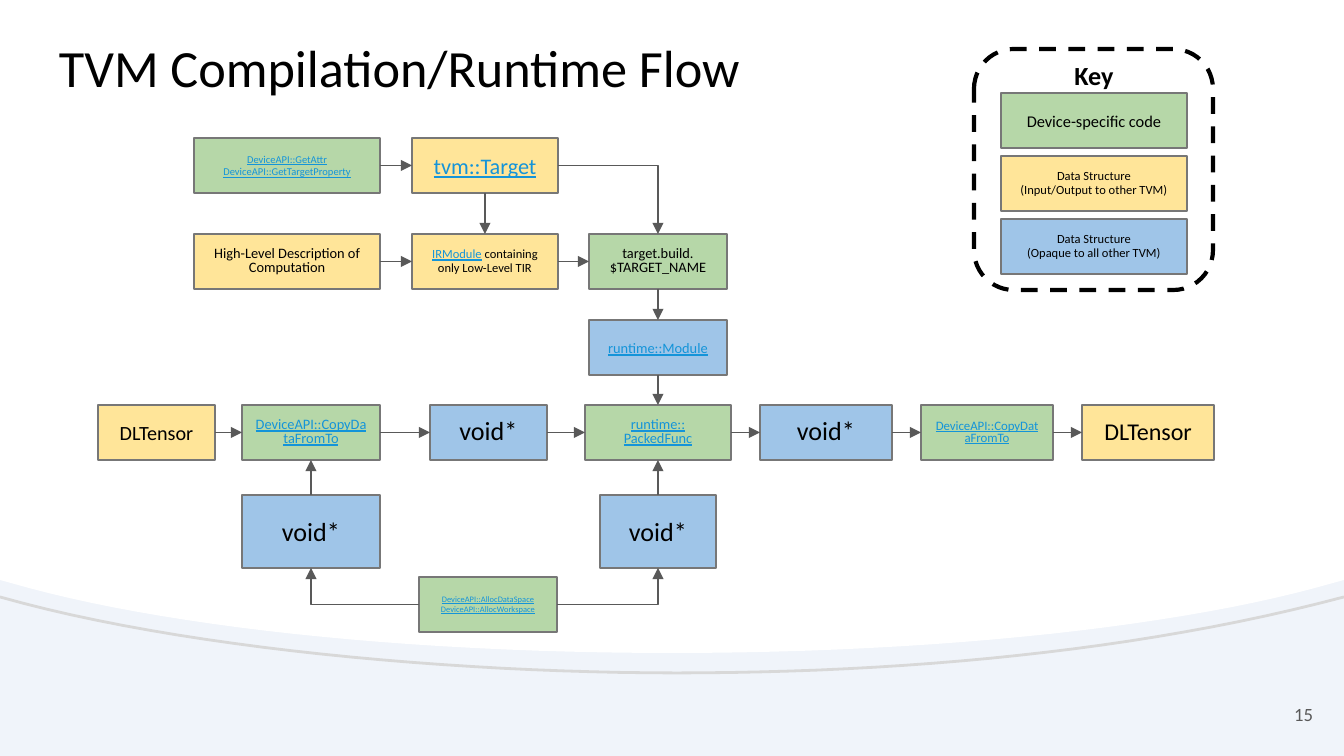
import copy

import lxml.etree
import pptx
import pptx.dml.color
import pptx.enum.dml
import pptx.enum.shapes
import pptx.enum.text
import pptx.oxml.ns
import pptx.util

RGB = pptx.dml.color.RGBColor
SHAPE = pptx.enum.shapes.MSO_SHAPE
LINK = pptx.enum.shapes.MSO_CONNECTOR
ALIGN = pptx.enum.text.PP_ALIGN
ANCHOR = pptx.enum.text.MSO_ANCHOR
qn = pptx.oxml.ns.qn

PALE = RGB(0xF0, 0xF4, 0xFA)
WHITE = RGB(0xFF, 0xFF, 0xFF)
BLACK = RGB(0, 0, 0)
SILVER = RGB(0xD8, 0xD8, 0xD8)
GREY = RGB(0x59, 0x59, 0x59)
EDGE = RGB(0x77, 0x77, 0x77)
CYAN = RGB(0x14, 0x94, 0xD9)
GREEN = RGB(0xB6, 0xD7, 0xA8)
YELLOW = RGB(0xFF, 0xE5, 0x99)
BLUE = RGB(0x9F, 0xC5, 0xE8)

SCALE = 914400 / 134.4  # EMU in one px
WIDE, HIGH = 1344, 756
TOP, LEFT, BOTTOM, RIGHT = 0, 1, 2, 3


def px(*nums):
    return [round(n * SCALE) for n in nums]


def style(font, size, color=BLACK, **more):
    font.color.rgb = color
    looks = {"name": "Calibri", "size": pptx.util.Pt(size), **more}
    for key, value in looks.items():
        setattr(font, key, value)


def write(shape, paras, size, align=ALIGN.CENTER, anchor=ANCHOR.MIDDLE,
          space=None, **look):
    """Fill a shape with paragraphs; a newline inside one is a line break."""
    frame = shape.text_frame
    inset = px(13)[0]
    looks = {"word_wrap": True, "vertical_anchor": anchor,
             "auto_size": pptx.enum.text.MSO_AUTO_SIZE.NONE,
             "margin_left": inset, "margin_right": inset,
             "margin_top": inset, "margin_bottom": inset}
    for key, value in looks.items():
        setattr(frame, key, value)
    for i, text in enumerate(paras):
        para = frame.add_paragraph() if i else frame.paragraphs[0]
        para.text = text
        para.alignment = align
        if space:
            para.line_spacing = space
        for run in para.runs:
            style(run.font, size, **look)
        # A line break takes the size of the text around it
        for gap in para._p.findall(qn("a:br")):
            gap.insert(0, copy.deepcopy(para.runs[0]._r.rPr))


def block(slide, box, fill, line=EDGE, weight=0.75, kind=SHAPE.RECTANGLE):
    shape = slide.shapes.add_shape(kind, *px(*box))
    paint(shape, fill, line, weight)
    return shape


def paint(shape, fill, line, weight=0.75):
    shape.shadow.inherit = False
    if fill is None:
        shape.fill.background()
    else:
        shape.fill.solid()
        shape.fill.fore_color.rgb = fill
    if line is None:
        shape.line.fill.background()
    else:
        shape.line.color.rgb = line
        shape.line.width = pptx.util.Pt(weight)


def arrow(slide, start, out, end, into):
    """Join two boxes; a turn of direction makes one right-angled bend."""
    bent = out % 2 != into % 2
    line = slide.shapes.add_connector(
        LINK.ELBOW if bent else LINK.STRAIGHT, 0, 0, 0, 0)
    line.begin_connect(start, out)
    line.end_connect(end, into)
    line.line.color.rgb = GREY
    line.line.width = pptx.util.Pt(0.75)
    props = line._element.spPr
    if bent:
        props.find(qn("a:prstGeom")).set("prst", "bentConnector2")
    lxml.etree.SubElement(props.find(qn("a:ln")), qn("a:tailEnd"), type="triangle")
    lxml.etree.SubElement(props, qn("a:effectLst"))


def curve(a, b, c, d, steps=24):
    """Points along a cubic curve, without its first point."""
    for i in range(1, steps + 1):
        t = i / steps
        u = 1 - t
        yield tuple(u**3 * p + 3 * u * u * t * q + 3 * u * t * t * r + t**3 * s
                    for p, q, r, s in zip(a, b, c, d))


def trace(slide, box, points, closed):
    dots = [tuple(px(box[0] + x, box[1] + y)) for x, y in points]
    form = slide.shapes.build_freeform(*dots[0], scale=1.0)
    form.add_line_segments(dots[1:], close=closed)
    return form.convert_to_shape()


def backdrop(slide, box):
    x, y, w, h = box
    slide.background.fill.solid()
    slide.background.fill.fore_color.rgb = PALE
    block(slide, (x, y, w, 544), WHITE, None)
    # White bowl
    mid = (w // 2, 653)
    rim = [(0, 485), (w, 485), (w, 580), (w - 11, 583)]
    rim += curve(rim[-1], (w - 155, 625), (w - 397, 653), mid)
    rim += curve(mid, (397, 653), (155, 625), (11, 583))
    paint(trace(slide, box, rim + [(0, 580)], True), WHITE, None)
    # Grey arc below it
    mid = (677, 673)
    arc = [(0, 597)]
    arc += curve(arc[0], (179, 648), (453, 673), mid)
    arc += curve(mid, (900, 673), (1138, 652), (w, 597))
    paint(trace(slide, box, arc, False), None, SILVER, 1.5)


def heading(slide, box):
    title = slide.shapes.title
    # Bring the title in front of the backdrop
    slide.shapes._spTree.append(title._element)
    title.left, title.top, title.width, title.height = px(*box)
    write(title, ["TVM Compilation/Runtime Flow"], 28, ALIGN.LEFT, ANCHOR.TOP)


def flow(slide, box):
    link = {"color": CYAN, "underline": True}
    rows = [0, 96, 182, 267, 357, 439]
    # name: row, left, width, fill, paragraphs, size, line spacing, look
    nodes = {
        "attr": (0, 96, 186, GREEN,
                 ["DeviceAPI::GetAttr\nDeviceAPI::GetTargetProperty"], 5.6, None, link),
        "target": (0, 314, 146, YELLOW, ["tvm::Target"], 11.9, None, link),
        "high": (1, 96, 186, YELLOW,
                 ["High-Level Description of Computation"], 7.7, 0.8, {}),
        "ir": (1, 314, 146, YELLOW, ["IRModule"], 6.7, 0.9, link),
        "build": (1, 491, 138, GREEN, ["target.build.\n$TARGET_NAME"], 7.7, 0.8, {}),
        "module": (2, 491, 138, BLUE, ["runtime::Module"], 7.7, None, link),
        "input": (3, 0, 117, YELLOW, ["DLTensor"], 10.8, None, {}),
        "copy in": (3, 144, 138, GREEN, ["DeviceAPI::CopyDataFromTo"], 7.7, 0.8, link),
        "void in": (3, 332, 117, BLUE, ["void*"], 14, 0.8, {}),
        "packed": (3, 487, 146, GREEN, ["runtime::\nPackedFunc"], 7.7, 0.8, link),
        "void out": (3, 662, 132, BLUE, ["void*"], 14, 0.8, {}),
        "copy out": (3, 823, 132, GREEN, ["DeviceAPI::CopyDataFromTo"], 6.9, 0.8, link),
        "output": (3, 984, 132, YELLOW, ["DLTensor"], 12.9, 0.9, {}),
        "data": (4, 144, 138, BLUE, ["void*"], 14, None, {}),
        "work": (4, 502, 116, BLUE, ["void*"], 14, None, {}),
        "alloc": (5, 321, 138, GREEN,
                  ["DeviceAPI::AllocDataSpace", "DeviceAPI::AllocWorkspace"],
                  4.5, None, link),
    }
    made = {}
    for name, (row, left, wide, fill, paras, size, space, look) in nodes.items():
        tall = 73 if row == 4 else 55
        made[name] = block(slide, (box[0] + left, box[1] + rows[row], wide, tall), fill)
        write(made[name], paras, size, space=space, **look)
    rest = made["ir"].text_frame.paragraphs[0].add_run()
    rest.text = " containing only Low-Level TIR"
    style(rest.font, 6.7)

    # Chains that run left to right, then down, then up
    chains = [
        (RIGHT, LEFT, ["attr", "target"]),
        (RIGHT, LEFT, ["high", "ir", "build"]),
        (RIGHT, LEFT, ["input", "copy in", "void in", "packed",
                       "void out", "copy out", "output"]),
        (BOTTOM, TOP, ["target", "ir"]),
        (BOTTOM, TOP, ["build", "module", "packed"]),
        (TOP, BOTTOM, ["data", "copy in"]),
        (TOP, BOTTOM, ["work", "packed"]),
        # Bends
        (RIGHT, TOP, ["target", "build"]),
        (LEFT, BOTTOM, ["alloc", "data"]),
        (RIGHT, BOTTOM, ["alloc", "work"]),
    ]
    for out, into, names in chains:
        for start, end in zip(names, names[1:]):
            arrow(slide, made[start], out, made[end], into)


def legend(slide, box):
    x, y, w, h = box
    items = [
        (GREEN, "Device-specific code", 8.8, None),
        (YELLOW, "Data Structure\n(Input/Output to other TVM)", 6.7, 0.9),
        (BLUE, "Data Structure\n(Opaque to all other TVM)", 6.7, 0.9),
    ]
    for i, (fill, text, size, space) in enumerate(items):
        item = block(slide, (x + 27, y + 44 + 63 * i, 186, 55), fill)
        write(item, [text], size, space=space)
    label = slide.shapes.add_textbox(*px(x + 80, y + 8, 80, 36))
    write(label, ["Key"], 14, bold=True)
    frame = block(slide, box, None, BLACK, 2.25, SHAPE.ROUNDED_RECTANGLE)
    frame.line.dash_style = pptx.enum.dml.MSO_LINE.DASH


def number(slide, box):
    label = slide.shapes.add_textbox(*px(*box))
    write(label, ["15"], 10, ALIGN.RIGHT, color=GREY)


def main():
    deck = pptx.Presentation()
    deck.slide_width, deck.slide_height = px(WIDE, HIGH)
    slide = deck.slides.add_slide(deck.slide_layouts[5])
    backdrop(slide, (0, 0, WIDE, HIGH))
    heading(slide, (46, 22, 1253, 85))
    flow(slide, (98, 138, 1116, 494))
    legend(slide, (974, 49, 239, 241))
    number(slide, (1245, 685, 81, 58))
    deck.save("out.pptx")


if __name__ == "__main__":
    main()
